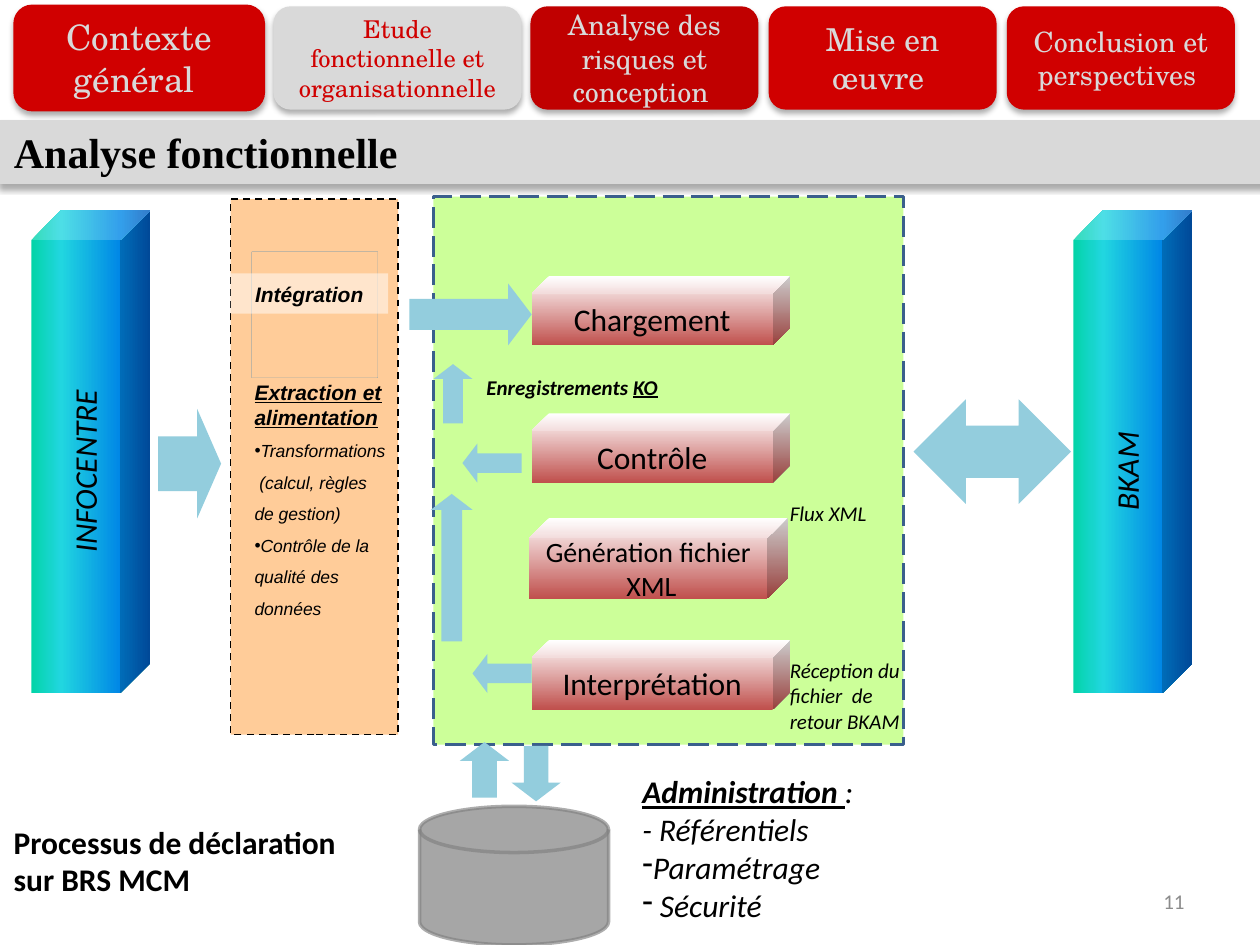
from dataclasses import dataclass
from math import cos, pi, sin

from lxml.etree import SubElement
from pptx import Presentation
from pptx.dml.color import RGBColor as RGB
from pptx.enum.dml import MSO_LINE as Dash
from pptx.enum.shapes import MSO_SHAPE as Geo
from pptx.enum.text import MSO_ANCHOR as Anchor, MSO_AUTO_SIZE as Fit, PP_ALIGN as Align
from pptx.oxml.ns import qn
from pptx.util import Inches, Pt

BLACK = RGB(0, 0, 0)
WHITE = RGB(255, 255, 255)
RED = RGB(0xD0, 0, 0)
DARK_RED = RGB(0xC0, 0, 0)
SILVER = RGB(0xD9, 0xD9, 0xD9)
LIME = RGB(0xCC, 0xFF, 0x99)
NAVY = RGB(0x3A, 0x5F, 0x8C)
PEACH = RGB(0xFF, 0xCC, 0x99)
SKY = RGB(0x93, 0xCD, 0xDD)
BLUE = RGB(0, 0x70, 0xC0)
GREY = RGB(0xA6, 0xA6, 0xA6)
EDGE = RGB(0x80, 0x80, 0x80)
PAGE = RGB(0x8C, 0x8C, 0x8C)
BRICK = RGB(0xC0, 0x50, 0x4D)
STEP_FILL = [(0, WHITE), (100, BRICK)]
TOWER_FILL = [(0, RGB(0x03, 0xD4, 0xA8)), (25, RGB(0x21, 0xD6, 0xE0)),
              (75, RGB(0, 0x87, 0xE6)), (100, RGB(0, 0x5C, 0xBF))]


@dataclass
class Box:
    x: float
    y: float
    w: float
    h: float
    turn: int = 0

    def dims(self):
        return [Inches(v) for v in (self.x, self.y, self.w, self.h)]


@dataclass
class Style:
    size: float
    face: str = "Calibri"
    color: RGB = BLACK
    bold: bool = False
    italic: bool = False
    under: bool = False
    align: Align = Align.LEFT


@dataclass
class Tab:
    text: str
    x: float
    w: float
    size: int
    fill: RGB = RED
    ink: RGB = SILVER


def dress(font, style: Style):
    font.size, font.name = Pt(style.size), style.face
    font.bold, font.italic, font.underline = style.bold, style.italic, style.under
    font.color.rgb = style.color


def write(frame, lines: list[str], style: Style):
    for i, line in enumerate(lines):
        para = frame.paragraphs[0] if i == 0 else frame.add_paragraph()
        para.text, para.alignment = line, style.align
        dress(para.font, style)


def bullet(para, char: str = ""):
    """Set a flush bullet, or none when char is empty."""
    props = para._p.get_or_add_pPr()
    props.set("marL", "0")
    props.set("indent", "0")
    if char:
        SubElement(props, qn("a:buChar"), char=char)
    else:
        SubElement(props, qn("a:buNone"))


def draw(geo: Geo, box: Box, fill: RGB, line: RGB = None, width: float = 2, dash: Dash = None):
    shape = shapes.add_shape(geo, *box.dims())
    shape.rotation = box.turn
    paint(shape, fill)
    if line is not None:
        shape.line.color.rgb, shape.line.width = line, Pt(width)
        if dash is not None:
            shape.line.dash_style = dash
    return shape


def paint(shape, fill: RGB):
    shape.shadow.inherit = False
    shape.fill.solid()
    shape.fill.fore_color.rgb = fill
    shape.line.fill.background()


def fade(color, percent: int):
    SubElement(color.find(".//" + qn("a:srgbClr")), qn("a:alpha"), val=str(percent * 1000))


def shade(shape):
    """Cast a soft shadow below the shape."""
    effects = shape._element.spPr.find(qn("a:effectLst"))
    cast = SubElement(effects, qn("a:outerShdw"), blurRad=str(Pt(3.5)), dist=str(Pt(2.2)),
                      dir="5400000", algn="t", rotWithShape="0")
    SubElement(SubElement(cast, qn("a:srgbClr"), val="000000"), qn("a:alpha"), val="32000")


def cube(box: Box, stops: list, angle: int):
    shape = draw(Geo.CUBE, box, WHITE)
    shape.fill.gradient()
    shape.fill.gradient_angle = -angle % 360
    stop_list = shape._element.spPr.find(".//" + qn("a:gsLst"))
    for old in list(stop_list):
        stop_list.remove(old)
    for place, color in stops:
        stop = SubElement(stop_list, qn("a:gs"), pos=str(place * 1000))
        SubElement(stop, qn("a:srgbClr"), val=str(color))
    return shape


def step(lines: list[str], box: Box, size: int):
    frame = cube(box, STEP_FILL, 90).text_frame
    frame.word_wrap, frame.vertical_anchor = False, Anchor.MIDDLE
    write(frame, lines, Style(size, align=Align.CENTER))


def label(lines: list[str], box: Box, style: Style):
    shape = shapes.add_textbox(*box.dims())
    shape.rotation = box.turn
    frame = shape.text_frame
    frame.word_wrap = True
    write(frame, lines, style)
    return frame


def tower(text: str, x: float):
    cube(Box(x, 1.67, 0.94, 3.83), TOWER_FILL, 0)
    label([text], Box(x - 0.65 - 0.05, 3.54, 2.24, 0.4, 270),
          Style(18, italic=True, align=Align.CENTER))


def gear(x: float, y: float, r: float, teeth: int = 16):
    """Cut a toothed wheel with a round hole, centred on x, y."""
    def spot(reach, turn):
        return x + r * reach * sin(turn), y - r * reach * cos(turn)

    pitch = 2 * pi / teeth
    rim = [spot(reach, (i + part) * pitch) for i in range(teeth)
           for reach, part in ((0.82, -0.3), (1, -0.18), (1, 0.18), (0.82, 0.3))]
    hole = [spot(0.33, -i * pi / 20) for i in range(40)]
    path = shapes.build_freeform(*rim[0], scale=Inches(1))
    path.add_line_segments(rim[1:])
    path.move_to(*hole[0])
    path.add_line_segments(hole[1:])
    paint(path.convert_to_shape(), BLUE)


deck = Presentation()
deck.slide_width, deck.slide_height = Inches(10), Inches(7.5)
slide = deck.slides.add_slide(deck.slide_layouts[1])
shapes = slide.shapes
title, body = shapes.title, slide.placeholders[1]


def place(holder, box: Box):
    """Move a placeholder to the front and into its box."""
    shapes._spTree.append(holder._element)
    holder.left, holder.top, holder.width, holder.height = box.dims()
    frame = holder.text_frame
    frame.word_wrap, frame.auto_size, frame.vertical_anchor = True, Fit.NONE, Anchor.TOP
    return frame


# Navigation and heading
for tab in (Tab("Etude fonctionnelle et organisationnelle", 2.17, 1.97, 14, SILVER, RED),
            Tab("Analyse des risques et conception ", 4.21, 1.81, 16, DARK_RED),
            Tab("Mise en œuvre ", 6.1, 1.81, 18),
            Tab("Conclusion et perspectives ", 7.99, 1.81, 16),
            Tab("Contexte général ", 0.12, 1.97, 20)):
    edge = RED if tab.x < 1 else None
    shape = draw(Geo.ROUNDED_RECTANGLE, Box(tab.x, 0.05, tab.w, 0.82), tab.fill, edge)
    shade(shape)
    write(shape.text_frame, [tab.text],
          Style(tab.size, "TeX Gyre Schola", tab.ink, align=Align.CENTER))
shade(draw(Geo.RECTANGLE, Box(0, 0.97, 10, 0.48), SILVER, SILVER))
write(place(title, Box(0.01, 0.95, 4.72, 0.5)), ["Analyse fonctionnelle"],
      Style(24, "Times New Roman", bold=True))

# Processing area
draw(Geo.RECTANGLE, Box(3.44, 1.56, 3.73, 4.35), LIME, NAVY, 1.5, Dash.LONG_DASH)
tower("BKAM", 8.52)
tower("INFOCENTRE", 0.25)
for box in (Box(3.44, 2.89, 0.31, 0.47, 180), Box(3.49, 2.01, 0.49, 0.97, 270),
            Box(3.75, 3.44, 0.31, 0.47, 90), Box(1.07, 3.43, 0.87, 0.5, 270),
            Box(4.06, 5.92, 0.39, 0.44), Box(3.65, 5.89, 0.39, 0.44, 180),
            Box(3.83, 5.11, 0.31, 0.47, 90), Box(3.42, 3.92, 0.33, 1.17, 180)):
    arrow = draw(Geo.DOWN_ARROW, box, SKY)
    arrow.adjustments[1] = 0.38
draw(Geo.LEFT_RIGHT_ARROW, Box(7.25, 3.17, 1.25, 0.83), SKY)
for text, y in (("Chargement", 2.19), ("Contrôle", 3.28), ("Interprétation", 5.08)):
    step([text], Box(4.22, y, 2.05, 0.55), 18)
step(["Génération fichier", " XML"], Box(4.2, 4.11, 2.05, 0.64), 16)

note = Style(12, italic=True)
label(["Flux XML"], Box(6.17, 3.92, 0.94, 0.3), note)
label(["Réception du fichier  de", "retour BKAM"], Box(6.17, 5.17, 1.33, 0.71), note)
frame = label(["Enregistrements "], Box(3.75, 2.92, 1.58, 0.3),
              Style(12, bold=True, italic=True, align=Align.CENTER))
run = frame.paragraphs[0].add_run()
run.text, run.font.underline = "KO", True

# Integration
draw(Geo.RECTANGLE, Box(1.83, 1.58, 1.33, 4.25), PEACH, BLACK, 1, Dash.DASH)
for x, y, r in ((2.69, 2.06, 0.23), (2.17, 2.3, 0.27), (2.55, 2.53, 0.3)):
    gear(x, y, r)
veil = draw(Geo.RECTANGLE, Box(1.83, 2.17, 1.25, 0.32), WHITE)
fade(veil._element.spPr.find(qn("a:solidFill")), 50)
write(veil.text_frame, ["Intégration"],
      Style(12, "Arial", bold=True, italic=True, align=Align.CENTER))

frame = place(body, Box(1.92, 2.96, 1.25, 1.54))
for i, line in enumerate(("Extraction et alimentation",
                          "Transformations  (calcul, règles de gestion)",
                          "Contrôle de la qualité des données")):
    para = frame.paragraphs[0] if i == 0 else frame.add_paragraph()
    para.text, para.space_before, para.line_spacing = line, Pt(0), 1.5 if i else 1
    bullet(para, "•" if i else "")
    dress(para.font, Style(10 if i else 12, "Arial", bold=not i, italic=True, under=not i))

# Storage and administration
disk = draw(Geo.FLOWCHART_MAGNETIC_DISK, Box(3.33, 6.4, 1.5, 1.1), GREY, EDGE)
fade(disk._element.spPr.find(qn("a:ln")), 64)
frame = label(["", "- Référentiels"], Box(5, 6.08, 2.25, 1.31), Style(18, italic=True))
for text, strong in (("Administration ", True), (":", False)):
    run = frame.paragraphs[0].add_run()
    run.text, run.font.bold, run.font.underline = text, strong, strong
for text in ("Paramétrage", " Sécurité"):
    para = frame.add_paragraph()
    para.text = text
    bullet(para, "-")
    dress(para.font, Style(18, italic=True))
label(["Processus de déclaration sur BRS MCM"], Box(0.01, 6.48, 3.07, 0.71), Style(18, bold=True))
label(["11"], Box(7.17, 6.95, 2.33, 0.4),
      Style(12, color=PAGE, align=Align.RIGHT)).vertical_anchor = Anchor.MIDDLE

deck.save("out.pptx")
